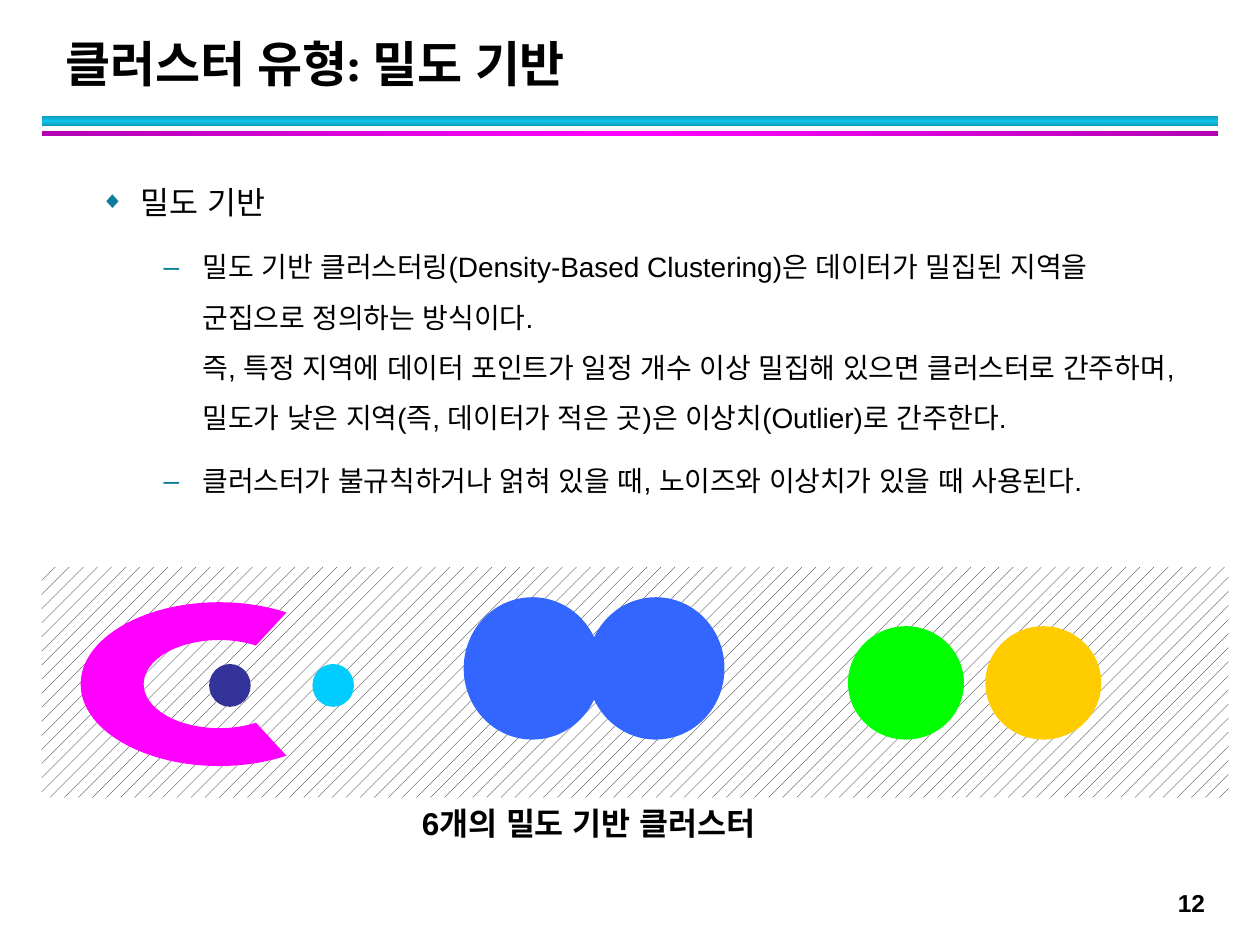
import math

from lxml import etree
from pptx import Presentation
from pptx.dml.color import RGBColor
from pptx.enum.dml import MSO_PATTERN
from pptx.enum.shapes import MSO_SHAPE
from pptx.enum.text import MSO_ANCHOR
from pptx.oxml.ns import qn
from pptx.util import Inches, Pt

RECT, OVAL = MSO_SHAPE.RECTANGLE, MSO_SHAPE.OVAL
DOTS = MSO_PATTERN.PERCENT_10
BOTTOM, TOP = MSO_ANCHOR.BOTTOM, MSO_ANCHOR.TOP

COLORS = {
    "text": "000000", "paper": "FFFFFF", "bullet": "0C7B9C",
    "teal": "12C2E9", "teal_dark": "0E9BBA",
    "magenta": "FF00FF", "magenta_dark": "B200B2",
    "navy": "333399", "sky": "00CCFF", "blue": "3366FF",
    "green": "00FF00", "amber": "FFCC00",
}

BODY = [
    (0, "밀도 기반"),
    (1, "밀도 기반 클러스터링(Density-Based Clustering)은 데이터가 밀집된 지역을 "
        "군집으로 정의하는 방식이다.\n"
        "즉, 특정 지역에 데이터 포인트가 일정 개수 이상 밀집해 있으면 클러스터로 "
        "간주하며, 밀도가 낮은 지역(즉, 데이터가 적은 곳)은 이상치(Outlier)로 간주한다."),
    (1, "클러스터가 불규칙하거나 얽혀 있을 때, 노이즈와 이상치가 있을 때 사용된다."),
]
# level: bullet, bullet size %, text indent in inches, hanging indent, font size
LEVELS = {0: ("◆", 75, 0.32, 0.32, 18), 1: ("–", 100, 0.81, 0.31, 16)}


def rgb(name):
    return RGBColor.from_string(COLORS[name])


def set_font(paragraph, size, bold=False, name="Arial"):
    font = paragraph.font
    font.size, font.bold, font.name = Pt(size), bold, name
    font.color.rgb = rgb("text")
    # Korean text takes its spaces from the same font
    defaults = paragraph._p.pPr.find(qn("a:defRPr"))
    etree.SubElement(defaults, qn("a:ea")).set("typeface", name)


def space_before_percent(paragraph, percent):
    paragraph.space_before = Pt(0)
    spacing = paragraph._p.pPr.find(qn("a:spcBef"))
    spacing.remove(spacing[0])
    etree.SubElement(spacing, qn("a:spcPct")).set("val", str(percent * 1000))


def add_bullet(paragraph, char, size, indent, hanging):
    props = paragraph._p.get_or_add_pPr()
    props.set("marL", str(Inches(indent)))
    props.set("indent", str(-Inches(hanging)))
    color = etree.SubElement(props, qn("a:buClr"))
    etree.SubElement(color, qn("a:srgbClr")).set("val", COLORS["bullet"])
    etree.SubElement(props, qn("a:buSzPct")).set("val", str(size * 1000))
    etree.SubElement(props, qn("a:buFont")).set("typeface", "Arial")
    etree.SubElement(props, qn("a:buChar")).set("char", char)


def add_text_frame(slide, box, anchor=TOP, wrap=True):
    frame = slide.shapes.add_textbox(*map(Inches, box)).text_frame
    frame.word_wrap, frame.vertical_anchor = wrap, anchor
    return frame


def add_plain_shape(slide, kind, box):
    shape = slide.shapes.add_shape(kind, *map(Inches, box))
    shape.shadow.inherit = False
    shape.line.fill.background()
    return shape


def add_gradient_bar(slide, box, edge, middle, angle):
    fill = add_plain_shape(slide, RECT, box).fill
    fill.gradient()
    fill.gradient_angle = angle
    stops = fill._fill._gradFill.find(qn("a:gsLst"))
    for stop in list(stops):
        stops.remove(stop)
    for position, color in ((0, edge), (50, middle), (100, edge)):
        stop = etree.SubElement(stops, qn("a:gs"))
        stop.set("pos", str(position * 1000))
        etree.SubElement(stop, qn("a:srgbClr")).set("val", COLORS[color])


def add_header(slide, box):
    left, top, width, height = box
    title = add_text_frame(slide, (left + 0.09, top, 9.06, 0.61), BOTTOM).paragraphs[0]
    title.text = "클러스터 유형: 밀도 기반"
    title.line_spacing = Pt(36)
    set_font(title, 28, True, "Karla")
    # Double rule under the title
    add_gradient_bar(slide, (left, top + 0.75, width, 0.08), "teal_dark", "teal", 90)
    add_gradient_bar(slide, (left, top + height - 0.04, width, 0.04),
                     "magenta_dark", "magenta", 0)


def add_body(slide, box):
    frame = add_text_frame(slide, box)
    for index, (level, text) in enumerate(BODY):
        paragraph = frame.paragraphs[0] if index == 0 else frame.add_paragraph()
        *bullet, size = LEVELS[level]
        paragraph.text, paragraph.level = text, level
        paragraph.line_spacing, paragraph.space_after = 1.5, Pt(4)
        space_before_percent(paragraph, 20)
        add_bullet(paragraph, *bullet)
        set_font(paragraph, size)


def add_crescent(slide, center_x, center_y):
    """Elliptical ring, open to the right, with Bezier arcs."""
    stops = [math.radians(a) for a in (61, 90, 180, 270, 299)]

    def point(radii, angle, tangent=0):
        x = math.cos(angle) - tangent * math.sin(angle)
        y = math.sin(angle) + tangent * math.cos(angle)
        return Inches(center_x + radii[0] * x), Inches(center_y + radii[1] * y)

    def arc(radii, angles):
        points = []
        for a, b in zip(angles, angles[1:]):
            k = 4 / 3 * math.tan((b - a) / 4)
            points += [point(radii, a, k), point(radii, b, -k), point(radii, b)]
        return points

    outer, inner = (1.1, 0.65), (0.6, 0.35)
    outer_arc, inner_arc = arc(outer, stops), arc(inner, stops[::-1])
    builder = slide.shapes.build_freeform(*point(outer, stops[0]))
    builder.add_line_segments(
        outer_arc + [point(inner, stops[-1])] + inner_arc, close=True)
    crescent = builder.convert_to_shape()
    # Turn each three points of an arc into one curve
    lines = list(crescent._element.iter(qn("a:lnTo")))
    first_inner = len(outer_arc) + 1
    starts = [*range(0, len(outer_arc), 3),
              *range(first_inner, first_inner + len(inner_arc), 3)]
    for start in starts:
        curve = etree.Element(qn("a:cubicBezTo"))
        lines[start].addprevious(curve)
        for line in lines[start:start + 3]:
            curve.append(line[0])
            line.getparent().remove(line)
    crescent.shadow.inherit = False
    crescent.fill.solid()
    crescent.fill.fore_color.rgb = rgb("magenta")
    crescent.line.fill.background()


def add_cluster_diagram(slide, box):
    left, top, width, height = box
    # Sparse noise in the background
    noise = add_plain_shape(slide, RECT, box).fill
    noise.patterned()
    noise.pattern = DOTS
    noise.fore_color.rgb, noise.back_color.rgb = rgb("text"), rgb("paper")
    # Dense clusters
    add_crescent(slide, left + 1.41, top + 0.93)
    clusters = [
        (1.33, 0.77, 0.33, 0.34, "navy"), (2.15, 0.77, 0.33, 0.34, "sky"),
        (6.4, 0.47, 0.92, 0.9, "green"), (7.49, 0.47, 0.92, 0.9, "amber"),
        (3.35, 0.24, 1.09, 1.13, "blue"), (4.33, 0.24, 1.09, 1.13, "blue"),
    ]
    for x, y, w, h, color in clusters:
        cluster = add_plain_shape(slide, OVAL, (left + x, top + y, w, h))
        cluster.fill.solid()
        cluster.fill.fore_color.rgb = rgb(color)
    # Caption
    add_label(slide, (left + 2.92, top + height, 3.5, 0.4), "6개의 밀도 기반 클러스터", 18)


def add_label(slide, box, text, size, wrap=True):
    label = add_text_frame(slide, box, wrap=wrap).paragraphs[0]
    label.text = text
    space_before_percent(label, 50)
    set_font(label, size, True)


def main():
    deck = Presentation()
    deck.slide_width, deck.slide_height = Inches(10), Inches(7.5)
    slide = deck.slides.add_slide(deck.slide_layouts[6])
    add_header(slide, (0.33, 0.17, 9.34, 0.91))
    add_label(slide, (9.25, 7, 0.44, 0.34), "12", 14, wrap=False)
    add_body(slide, (0.7, 1.25, 8.75, 5.59))
    add_cluster_diagram(slide, (0.33, 4.5, 9.42, 1.83))
    deck.save("out.pptx")


if __name__ == "__main__":
    main()
